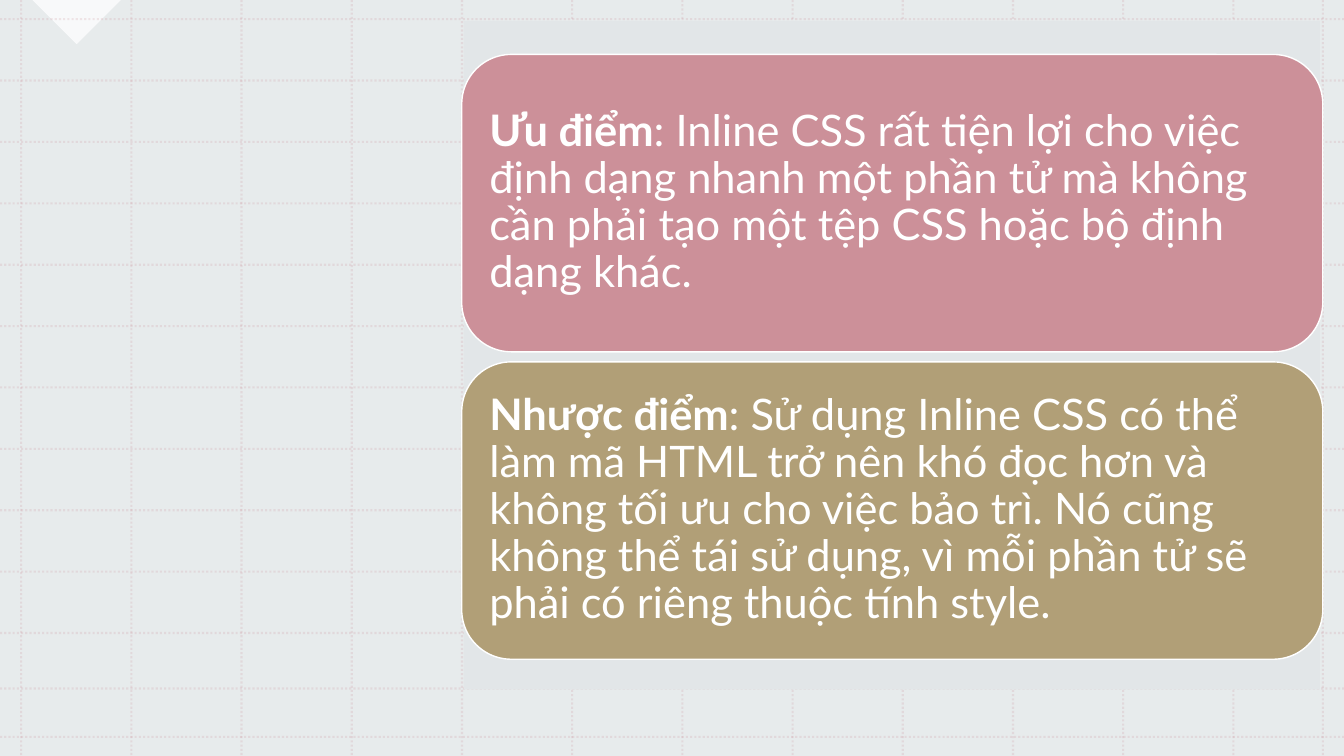
import pptx
import pptx.util
import pptx.dml.color
import pptx.enum.dml
import pptx.enum.shapes
import pptx.enum.text
import pptx.oxml
import pptx.oxml.ns

Inches, Pt = pptx.util.Inches, pptx.util.Pt
SHAPES = pptx.enum.shapes.MSO_SHAPE

CARDS = [
    ("Ưu điểm",
     ": Inline CSS rất tiện lợi cho việc định dạng nhanh một phần tử mà không "
     "cần phải tạo một tệp CSS hoặc bộ định dạng khác.",
     "rose"),
    ("Nhược điểm",
     ": Sử dụng Inline CSS có thể làm mã HTML trở nên khó đọc hơn và không tối "
     "ưu cho việc bảo trì. Nó cũng không thể tái sử dụng, vì mỗi phần tử sẽ "
     "phải có riêng thuộc tính style.",
     "sand"),
]
COLOURS = {"white": "FFFFFF", "mist": "E2E6E8", "rose": "CC9099", "sand": "B19F77"}

WIDTH, HEIGHT = 13.33, 7.5
CARD_LEFT, CARD_TOP, CARD_WIDTH, CARD_HEIGHT, CARD_STEP = 4.58, 0.54, 8.54, 2.95, 3.05

# Grid lines run at an even step, with a narrower one at the far edges
COLUMNS = [0.21 + 1.093 * i for i in range(12)] + [13.12]
ROWS = [0.19 + 0.609 * i for i in range(11)] + [6.83, 7.31]


def rgb(name):
    return pptx.dml.color.RGBColor.from_string(COLOURS[name])


def set_opacity(element, percent):
    colour = element.find(".//" + pptx.oxml.ns.qn("a:srgbClr"))
    alpha = pptx.oxml.parse_xml(
        f'<a:alpha {pptx.oxml.ns.nsdecls("a")} val="{percent * 1000}"/>')
    colour.append(alpha)


def add_panel(slide, kind, left, top, width, height, colour, opacity=100):
    panel = slide.shapes.add_shape(
        kind, Inches(left), Inches(top), Inches(width), Inches(height))
    panel.shadow.inherit = False
    panel.fill.solid()
    panel.fill.fore_color.rgb = rgb(colour)
    panel.line.fill.background()
    if opacity < 100:
        set_opacity(panel.fill.fore_color._xFill, opacity)
    return panel


def add_grid_line(slide, x1, y1, x2, y2):
    rule = slide.shapes.add_connector(
        pptx.enum.shapes.MSO_CONNECTOR.STRAIGHT,
        Inches(x1), Inches(y1), Inches(x2), Inches(y2))
    rule.line.color.rgb = rgb("rose")
    rule.line.width = Pt(1.5)
    rule.line.dash_style = pptx.enum.dml.MSO_LINE.ROUND_DOT
    properties = rule._element.spPr
    set_opacity(properties, 20)
    properties.append(pptx.oxml.parse_xml(
        f'<a:effectLst {pptx.oxml.ns.nsdecls("a")}/>'))


def add_card(slide, top, heading, detail, colour):
    card = add_panel(slide, SHAPES.ROUNDED_RECTANGLE,
                     CARD_LEFT, top, CARD_WIDTH, CARD_HEIGHT, colour)
    card.line.color.rgb = rgb("white")
    card.line.width = Pt(1)
    frame = card.text_frame
    frame.word_wrap = True
    frame.vertical_anchor = pptx.enum.text.MSO_ANCHOR.MIDDLE
    frame.margin_left = frame.margin_right = Inches(0.13)
    frame.margin_top = frame.margin_bottom = Inches(0.13)
    paragraph = frame.paragraphs[0]
    paragraph.alignment = pptx.enum.text.PP_ALIGN.LEFT
    paragraph.line_spacing = 0.9
    paragraph.font.name = "Lato"
    paragraph.font.size = Pt(31)
    paragraph.font.color.rgb = rgb("white")
    for words, bold in ((heading, True), (detail, False)):
        run = paragraph.add_run()
        run.text = words
        run.font.bold = bold


def main():
    deck = pptx.Presentation()
    deck.slide_width, deck.slide_height = Inches(WIDTH), Inches(HEIGHT)
    slide = deck.slides.add_slide(deck.slide_layouts[6])

    # Backdrop: white page, pale veil and corner triangle
    slide.background.fill.solid()
    slide.background.fill.fore_color.rgb = rgb("white")
    add_panel(slide, SHAPES.RECTANGLE, 0, 0, WIDTH, HEIGHT, "mist", 80)
    corner = add_panel(slide, SHAPES.RIGHT_TRIANGLE, 0.45, -0.31, 0.62, 0.62, "white", 75)
    corner.rotation = 315

    # Dotted grid
    for x in COLUMNS:
        add_grid_line(slide, x, 0, x, HEIGHT)
    for y in ROWS:
        add_grid_line(slide, 0, y, WIDTH, y)

    # Panel with the two cards
    add_panel(slide, SHAPES.RECTANGLE, 4.6, 0.21, 8.49, 6.63, "mist")
    for i, (heading, detail, colour) in enumerate(CARDS):
        add_card(slide, CARD_TOP + i * CARD_STEP, heading, detail, colour)

    deck.save("out.pptx")


if __name__ == "__main__":
    main()
